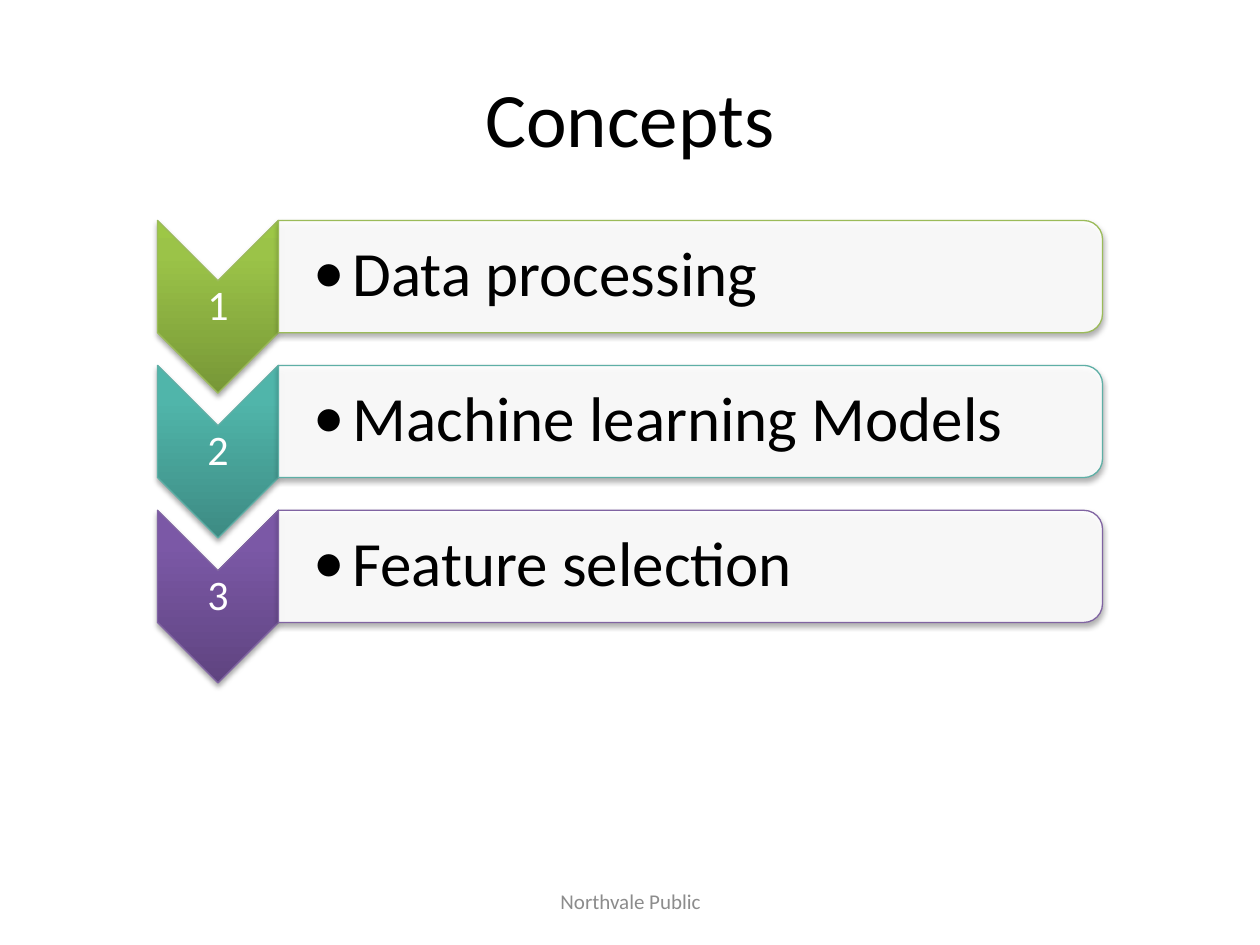
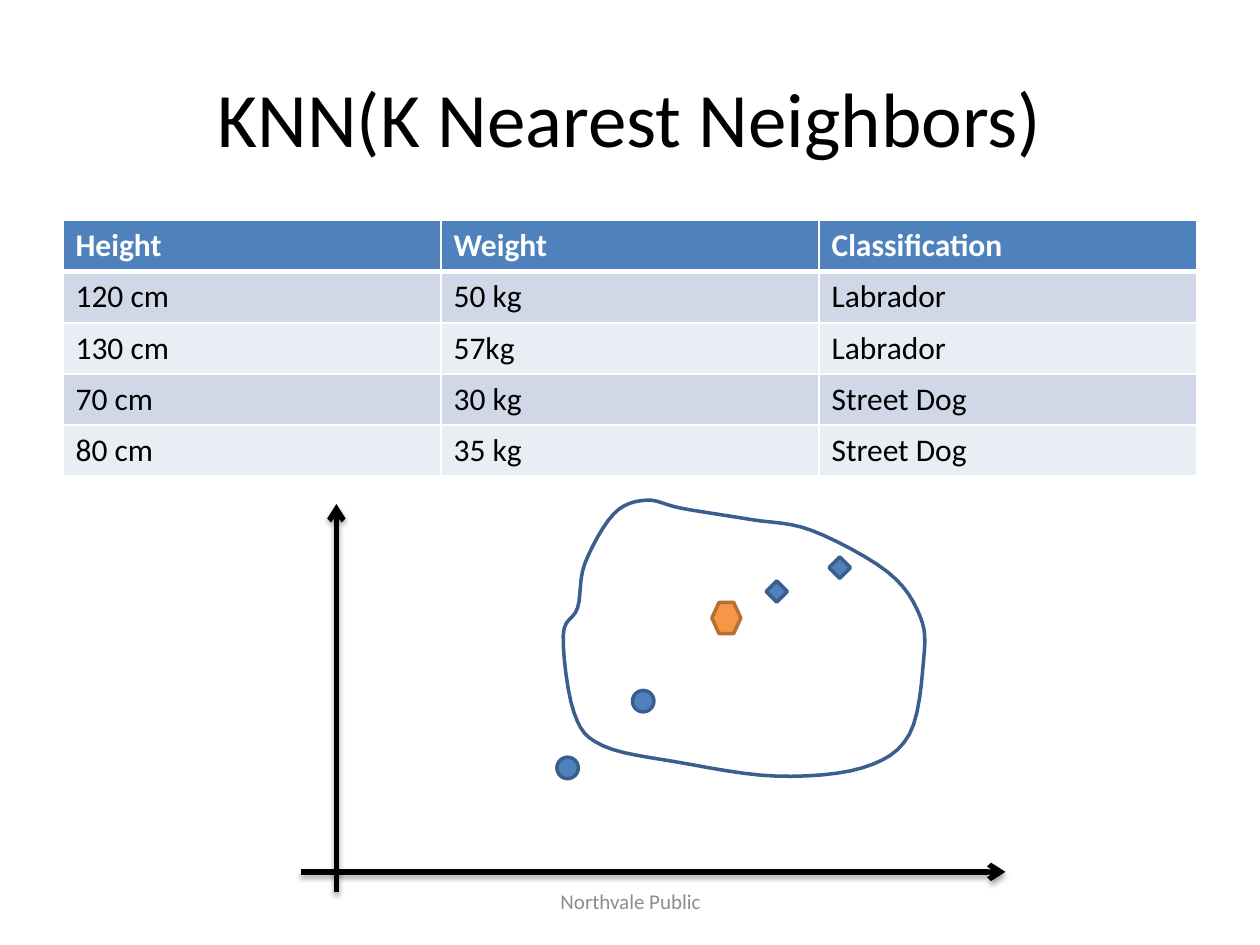
from dataclasses import dataclass

from lxml import etree
from pptx import Presentation
from pptx.dml.color import RGBColor
from pptx.enum.shapes import MSO_CONNECTOR, MSO_SHAPE
from pptx.enum.text import MSO_ANCHOR, PP_ALIGN
from pptx.oxml import parse_xml
from pptx.oxml.ns import nsdecls, qn
from pptx.util import Inches, Pt

FONT = "Calibri"
FOOTER = "Northvale Public"
TITLE_ONLY = 5
COLORS = {
    "black": "000000", "white": "FFFFFF", "footer": "8C8C8C",
    "blue": "4F81BD", "blue_line": "3A5F8C",
    "orange": "F79646", "orange_line": "B76F34",
    "row_dark": "D0D8E8", "row_light": "E9EDF4",
    "green": "9BBB59", "green_low": "779737",
    "green_mid": "9BC348", "green_high": "9DC746",
    "teal": "5EAFA6", "teal_low": "3D8B83",
    "teal_mid": "50B5AA", "teal_high": "4EB8AC",
    "purple": "8064A2", "purple_low": "5F4480",
    "purple_mid": "7B58A6", "purple_high": "7C57A8",
}
GRADIENT_STOPS = {"low": 0, "mid": 80000, "high": 100000}

STEPS = [("Data processing", "green"), ("Machine learning Models", "teal"),
         ("Feature selection", "purple")]
DOGS = [
    ("Height", "Weight", "Classification"),
    ("120 cm", "50 kg", "Labrador"),
    ("130 cm", "57kg", "Labrador"),
    ("70 cm", "30 kg", "Street Dog"),
    ("80 cm", "35 kg", "Street Dog"),
]


@dataclass
class Box:
    left: float
    top: float
    width: float
    height: float

    def inside(self, left, top, width, height):
        """Return a box placed relative to this one."""
        return Box(self.left + left, self.top + top, width, height)

    def turned(self):
        """Return the unrotated frame that fills this box after a quarter turn."""
        return Box(self.left + (self.width - self.height) / 2,
                   self.top + (self.height - self.width) / 2,
                   self.height, self.width)

    def lengths(self):
        return [Inches(n) for n in (self.left, self.top, self.width, self.height)]


def rgb(color):
    return RGBColor.from_string(COLORS[color])


def write_text(frame, text, size, color="black", bold=False, align=None,
               spacing=None, bullet_indent=None):
    para = frame.paragraphs[0]
    para.alignment = align
    para.line_spacing = spacing
    span = para.add_run()
    span.text = text
    span.font.name, span.font.size, span.font.bold = FONT, Pt(size), bold
    span.font.color.rgb = rgb(color)
    if bullet_indent:
        properties = para._p.get_or_add_pPr()
        properties.set("marL", str(Inches(bullet_indent)))
        properties.set("indent", str(-Inches(bullet_indent)))
        etree.SubElement(properties, qn("a:buFont"), typeface=FONT)
        etree.SubElement(properties, qn("a:buChar"), char="•")


def add_text(page, box, text, size, left_inset=0.1, inset=0.03, **text_format):
    frame = page.shapes.add_textbox(*box.lengths()).text_frame
    frame.word_wrap = True
    frame.vertical_anchor = MSO_ANCHOR.MIDDLE
    frame.margin_left = Inches(left_inset)
    frame.margin_right = frame.margin_top = frame.margin_bottom = Inches(inset)
    write_text(frame, text, size, **text_format)


def add_shadow(item):
    """Give a shape or connector a soft shadow below it."""
    properties = item._element.spPr
    for effects in properties.findall(qn("a:effectLst")):
        properties.remove(effects)
    properties.append(parse_xml(
        f'<a:effectLst {nsdecls("a")}><a:outerShdw blurRad="40000" dist="23000" '
        'dir="5400000" rotWithShape="0"><a:srgbClr val="000000">'
        '<a:alpha val="35000"/></a:srgbClr></a:outerShdw></a:effectLst>'))


def outline(shape, color, width):
    shape.shadow.inherit = False
    shape.line.color.rgb = rgb(color)
    shape.line.width = Pt(width)


def add_figure(page, kind, box, fill, line, width=2.0):
    shape = page.shapes.add_shape(kind, *box.lengths())
    shape.fill.solid()
    shape.fill.fore_color.rgb = rgb(fill)
    outline(shape, line, width)
    return shape


def add_turned_figure(page, kind, box, fill, line):
    """Add a shadowed figure, turned a quarter, that fills the box."""
    shape = add_figure(page, kind, box.turned(), fill, line, 0.75)
    shape.rotation = 90
    add_shadow(shape)
    return shape


def set_gradient(shape, hue):
    """Shade the shape from the hue's low tone at the bottom to its high one."""
    stops = "".join(
        f'<a:gs pos="{place}"><a:srgbClr val="{COLORS[f"{hue}_{tone}"]}"/></a:gs>'
        for tone, place in GRADIENT_STOPS.items())
    properties = shape._element.spPr
    properties.replace(properties.find(qn("a:solidFill")), parse_xml(
        f'<a:gradFill {nsdecls("a")} rotWithShape="0"><a:gsLst>{stops}</a:gsLst>'
        '<a:lin ang="16200000" scaled="0"/></a:gradFill>'))


def set_opacity(shape, percent):
    color = shape._element.spPr.find(qn("a:solidFill")).find(qn("a:srgbClr"))
    etree.SubElement(color, qn("a:alpha"), val=str(percent * 1000))


def add_page(deck, title):
    """Add a page with the shared title and footer."""
    page = deck.slides.add_slide(deck.slide_layouts[TITLE_ONLY])
    heading = page.shapes.title
    heading.left, heading.top, heading.width, heading.height = Box(
        0.5, 0.3, 9, 1.25).lengths()
    heading.text_frame.vertical_anchor = MSO_ANCHOR.MIDDLE
    write_text(heading.text_frame, title, 44, align=PP_ALIGN.CENTER)
    add_text(page, Box(3.42, 6.95, 3.17, 0.4), FOOTER, 12, inset=0.1,
             color="footer", align=PP_ALIGN.CENTER)
    return page


def add_step(page, box, number, text, hue):
    """Add a numbered chevron with a text bar to its right."""
    chevron_width, bar_height = 0.96, 0.89
    chevron = add_turned_figure(page, MSO_SHAPE.CHEVRON,
                                box.inside(0, 0, chevron_width, box.height),
                                hue, hue)
    set_gradient(chevron, hue)
    add_text(page, box.inside(0, 0.48, chevron_width, 0.41), str(number), 24,
             0.02, 0.02, color="white", align=PP_ALIGN.CENTER, spacing=0.9)
    bar_box = box.inside(chevron_width, 0, box.width - chevron_width, bar_height)
    bar = add_turned_figure(page, MSO_SHAPE.ROUND_2_SAME_RECTANGLE, bar_box,
                            "white", hue)
    set_opacity(bar, 90)
    add_text(page, bar_box.inside(0, 0.04, 6.5, 0.8), text, 36, 0.28,
             spacing=0.9, bullet_indent=0.31)


def add_steps(page, box):
    pitch, step_height = 1.15, 1.37
    for index, (text, hue) in enumerate(STEPS):
        step_box = box.inside(0, index * pitch, box.width, step_height)
        add_step(page, step_box, index + 1, text, hue)


def set_bottom_border(cell, color, width):
    cell._tc.get_or_add_tcPr().insert(0, parse_xml(
        f'<a:lnB {nsdecls("a")} w="{Pt(width)}"><a:solidFill>'
        f'<a:srgbClr val="{COLORS[color]}"/></a:solidFill></a:lnB>'))


def add_dog_table(page, box):
    table = page.shapes.add_table(len(DOGS), len(DOGS[0]), *box.lengths()).table
    for row, values in enumerate(DOGS):
        header = row == 0
        fill = "blue" if header else "row_dark" if row % 2 else "row_light"
        for column, value in enumerate(values):
            cell = table.cell(row, column)
            cell.fill.solid()
            cell.fill.fore_color.rgb = rgb(fill)
            write_text(cell.text_frame, value, 18, bold=header,
                       color="white" if header else "black")
            if header:
                set_bottom_border(cell, "white", 3)


def add_axis(page, start, end):
    axis = page.shapes.add_connector(
        MSO_CONNECTOR.STRAIGHT, *(Inches(n) for n in start + end))
    axis.line.color.rgb = rgb("black")
    axis.line.width = Pt(3)
    etree.SubElement(axis.line._get_or_add_ln(), qn("a:tailEnd"), type="arrow")
    add_shadow(axis)


def smooth_loop(corners, steps=6):
    """Return points of a closed Catmull-Rom curve through the corners."""
    def blend(before, start, end, after, t):
        return (start + (end - before) * t / 2
                + (2 * before - 5 * start + 4 * end - after) * t ** 2 / 2
                + (3 * start - before - 3 * end + after) * t ** 3 / 2)

    points = []
    for index in range(len(corners)):
        around = [corners[(index + shift) % len(corners)]
                  for shift in (-1, 0, 1, 2)]
        points += [tuple(blend(*axis, step / steps) for axis in zip(*around))
                   for step in range(steps)]
    return points


def add_cluster_outline(page, box):
    """Draw a loose loop, its sides given as fractions of the box."""
    top = [(0.23, 0), (0.33, 0.03), (0.52, 0.07), (0.69, 0.11)]
    right = [(0.9, 0.26), (0.99, 0.42), (1, 0.58), (0.96, 0.85)]
    bottom = [(0.83, 0.97), (0.59, 1), (0.32, 0.95), (0.11, 0.89)]
    left = [(0.03, 0.77), (0, 0.49), (0.04, 0.39), (0.06, 0.23), (0.14, 0.05)]
    points = [(Inches(x * box.width), Inches(y * box.height))
              for x, y in smooth_loop(top + right + bottom + left)]
    builder = page.shapes.build_freeform(*points[0])
    builder.add_line_segments(points[1:], close=True)
    shape = builder.convert_to_shape(Inches(box.left), Inches(box.top))
    shape.fill.background()
    outline(shape, "blue_line", 2)


def add_neighbor_plot(page, box):
    """Draw both axes, the known dogs, the new dog and its cluster."""
    right, bottom = box.left + box.width, box.top + box.height
    origin_x, origin_y = box.left + 0.28, bottom - 0.16
    add_axis(page, (box.left, origin_y), (right, origin_y))
    add_axis(page, (origin_x, bottom), (origin_x, box.top))
    marker_size = 0.17
    known_dogs = {
        MSO_SHAPE.DIAMOND: [(3.69, 0.61), (4.19, 0.42)],
        MSO_SHAPE.OVAL: [(2.63, 1.48), (2.03, 2.01)],
    }
    for marker, places in known_dogs.items():
        for left, top in places:
            add_figure(page, marker,
                       box.inside(left, top, marker_size, marker_size),
                       "blue", "blue_line")
    add_figure(page, MSO_SHAPE.HEXAGON, box.inside(3.26, 0.78, 0.23, 0.25),
               "orange", "orange_line")
    add_cluster_outline(page, box.inside(2.08, -0.03, 2.86, 2.19))


def main():
    deck = Presentation()
    deck.slide_width, deck.slide_height = Inches(10), Inches(7.5)
    concepts = add_page(deck, "Concepts")
    add_steps(concepts, Box(1.25, 1.75, 7.5, 3.67))
    neighbors = add_page(deck, "KNN(K Nearest Neighbors)")
    add_dog_table(neighbors, Box(0.5, 1.75, 9, 2.03))
    add_neighbor_plot(neighbors, Box(2.39, 4, 5.59, 3.08))
    deck.save("out.pptx")


if __name__ == "__main__":
    main()
